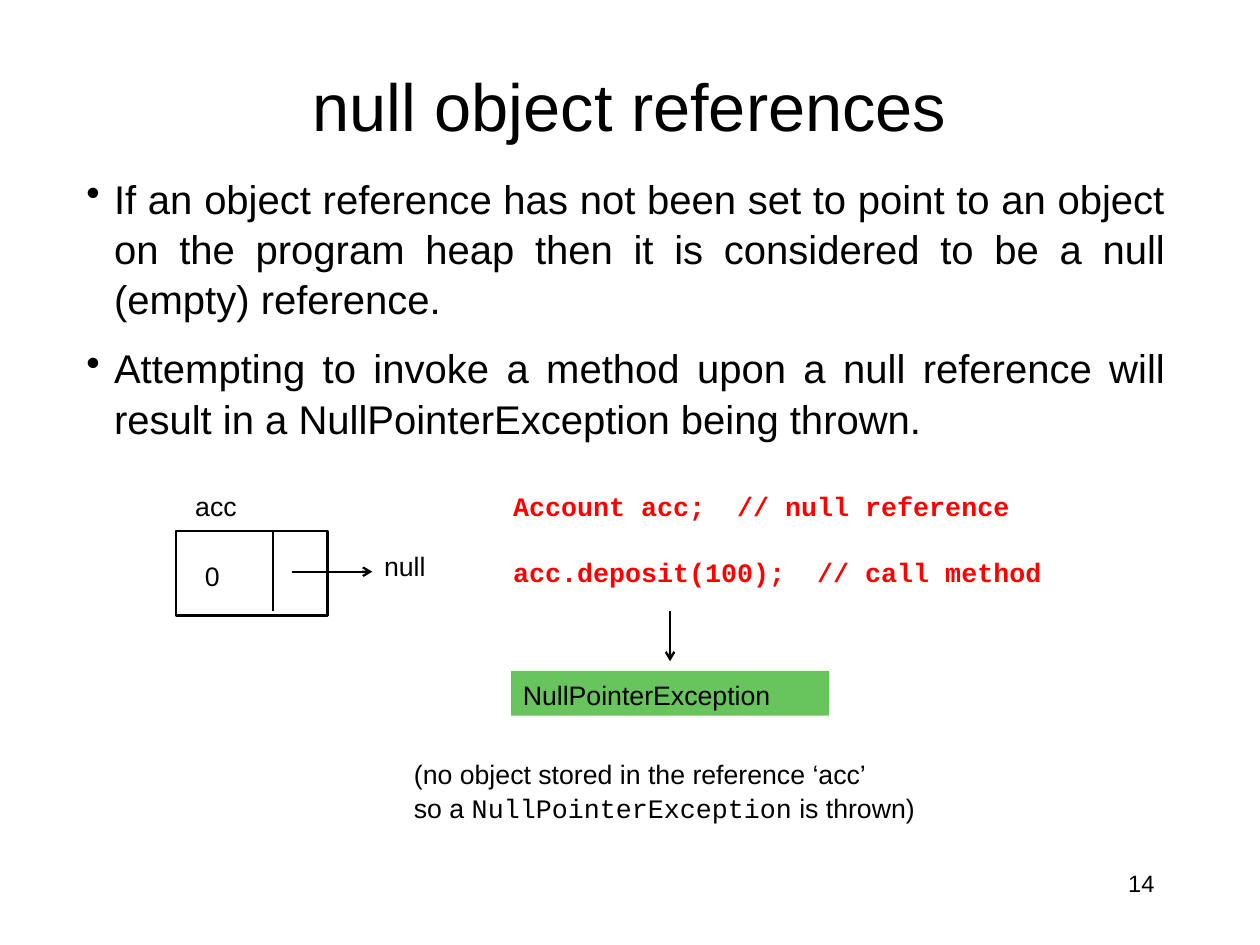
import dataclasses

import lxml.etree
import pptx
import pptx.dml.color
import pptx.enum.shapes
import pptx.enum.text
import pptx.oxml.ns
import pptx.util

Inches = pptx.util.Inches
Pt = pptx.util.Pt
Align = pptx.enum.text.PP_ALIGN
qn = pptx.oxml.ns.qn


@dataclasses.dataclass(frozen=True)
class Theme:
    ink: str = "000000"
    code: str = "FF0000"
    exception: str = "68C45C"
    sans: str = "Arial"
    mono: str = "Courier New"
    title_size: int = 45
    body_size: int = 27
    label_size: int = 18
    number_size: int = 16
    line_width: float = 1.5
    line_spacing: float = 1.05


THEME = Theme()


def rgb(value):
    return pptx.dml.color.RGBColor.from_string(value)


def format_text(shape, text, size=THEME.label_size, font=THEME.sans,
                color=THEME.ink, bold=False, align=Align.LEFT,
                anchor=pptx.enum.text.MSO_ANCHOR.TOP):
    """Fill a shape with text, one paragraph per line."""
    frame = shape.text_frame
    frame.word_wrap = True
    frame.vertical_anchor = anchor
    frame.margin_left = frame.margin_right = Inches(0.11)
    frame.margin_top = frame.margin_bottom = Inches(0.06)
    frame.text = text
    for paragraph in frame.paragraphs:
        paragraph.alignment = align
        paragraph.line_spacing = THEME.line_spacing
        for run in paragraph.runs:
            run.font.size = Pt(size)
            run.font.name = font
            run.font.bold = bold
            run.font.color.rgb = rgb(color)
    return frame


def add_text(slide, box, text, **style):
    shape = slide.shapes.add_textbox(*map(Inches, box))
    return format_text(shape, text, **style)


def add_rectangle(slide, box, fill=None, outline=None):
    shape = slide.shapes.add_shape(
        pptx.enum.shapes.MSO_SHAPE.RECTANGLE, *map(Inches, box))
    shape.shadow.inherit = False
    for part, color in ((shape.fill, fill), (shape.line.fill, outline)):
        if color:
            part.solid()
            part.fore_color.rgb = rgb(color)
        else:
            part.background()
    if outline:
        shape.line.width = Pt(THEME.line_width)
    return shape


def add_line(slide, start, end, arrow=False):
    line = slide.shapes.add_connector(
        pptx.enum.shapes.MSO_CONNECTOR.STRAIGHT, *map(Inches, start + end))
    line.line.color.rgb = rgb(THEME.ink)
    line.line.width = Pt(THEME.line_width)
    properties = line._element.spPr
    lxml.etree.SubElement(properties, qn("a:effectLst"))
    if arrow:
        lxml.etree.SubElement(properties.find(qn("a:ln")), qn("a:tailEnd"), type="arrow")


def add_title(slide, box):
    add_text(slide, box, "null object references", size=THEME.title_size,
             align=Align.CENTER, anchor=pptx.enum.text.MSO_ANCHOR.MIDDLE)


def add_bullets(slide, box):
    frame = add_text(
        slide, box,
        "If an object reference has not been set to point to an object on the "
        "program heap then it is considered to be a null (empty) reference.\n"
        "Attempting to invoke a method upon a null reference will result in a "
        "NullPointerException being thrown.",
        size=THEME.body_size, align=Align.JUSTIFY)
    indent = Inches(0.26)
    for paragraph in frame.paragraphs:
        properties = paragraph._p.get_or_add_pPr()
        properties.set("marL", str(indent))
        properties.set("indent", str(-indent))
        lxml.etree.SubElement(properties, qn("a:buChar"), char="\u2022")
    frame.paragraphs[1].space_before = Pt(12.5)


def add_reference_diagram(slide, box):
    """The variable acc, whose reference cell points to null."""
    left, top, width, height = box
    divider = left + 0.91
    arrow_y = top + 0.38
    arrow_end = left + 1.84
    add_line(slide, (divider, top), (divider, top + 0.75))
    add_line(slide, (left + 1.09, arrow_y), (arrow_end, arrow_y), arrow=True)
    add_rectangle(slide, box, outline=THEME.ink)
    labels = (("acc", left + 0.07, top - 0.46),
              ("0", left + 0.16, top + 0.19),
              ("null", arrow_end, top + 0.1))
    for text, label_left, label_top in labels:
        add_text(slide, (label_left, label_top, 0.7, 0.42), text)


def add_code_example(slide, box):
    """Code lines leading down to the exception they cause."""
    left, top, width, height = box
    code = add_text(slide, (left, top, width, 1.02),
                    "Account acc;  // null reference\n"
                    "acc.deposit(100);  // call method",
                    font=THEME.mono, color=THEME.code, bold=True)
    code.paragraphs[1].space_before = Pt(21.6)
    arrow_x = left + 1.58
    add_line(slide, (arrow_x, top + 1.21), (arrow_x, top + 1.68), arrow=True)
    exception = add_rectangle(slide, (left + 0.09, top + height - 0.42, 2.98, 0.42),
                              fill=THEME.exception)
    format_text(exception, "NullPointerException")


def add_explanation(slide, box):
    frame = add_text(slide, box, "(no object stored in the reference \u2018acc\u2019\nso a ")
    paragraph = frame.paragraphs[1]
    for text, font in (("NullPointerException", THEME.mono),
                       (" is thrown)", THEME.sans)):
        run = paragraph.add_run()
        run.text = text
        run.font.name = font
        run.font.size = Pt(THEME.label_size)
        run.font.color.rgb = rgb(THEME.ink)


def add_page_number(slide, box):
    add_text(slide, box, "14", size=THEME.number_size, align=Align.RIGHT)


presentation = pptx.Presentation()
presentation.slide_width = Inches(11.81)
presentation.slide_height = Inches(8.86)
slide = presentation.slides.add_slide(presentation.slide_layouts[6])

# Heading and bullet points
add_title(slide, (0.88, 0.52, 10.04, 0.89))
add_bullets(slide, (0.7, 1.55, 10.33, 2.61))

# Diagram beside the code that fails
add_reference_diagram(slide, (1.65, 4.98, 1.42, 0.79))
add_code_example(slide, (4.7, 4.52, 6.14, 2.19))

# Closing remark and page number
add_explanation(slide, (3.77, 7.03, 5.86, 0.72))
add_page_number(slide, (8.47, 8.07, 2.46, 0.59))

presentation.save("out.pptx")
